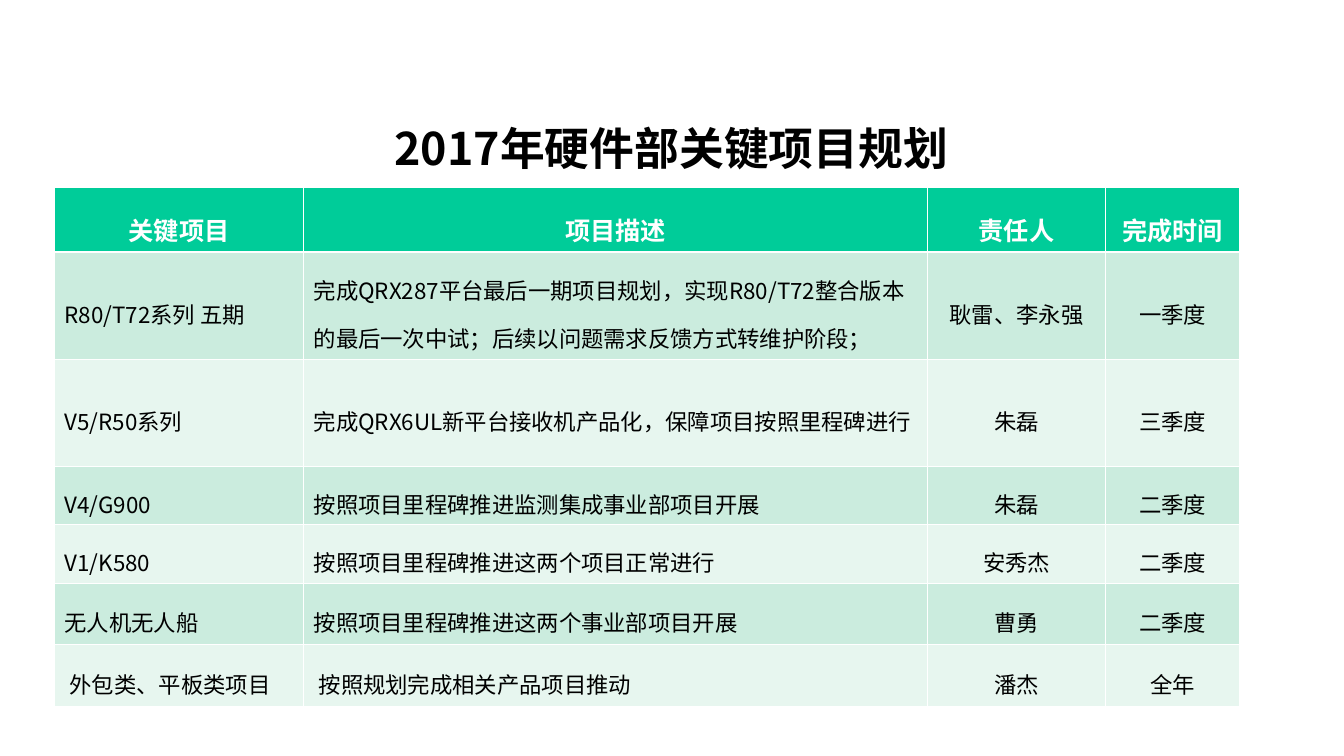
from lxml.etree import SubElement
from pptx import Presentation
from pptx.dml.color import RGBColor
from pptx.enum.text import MSO_ANCHOR, MSO_AUTO_SIZE, PP_ALIGN
from pptx.oxml.ns import qn
from pptx.util import Pt

FONT = "Noto Sans CJK SC"
COLOR = {"black": "000000", "white": "FFFFFF", "head": "00CC99",
         "odd": "CBECDE", "even": "E7F6EF"}
WIDTHS = [178, 446, 127, 96]
HEIGHTS = [39.6, 64.8, 43.2, 36, 41, 44, 44]
THIN, THICK = 0.45, 1.47
ROWS = [
    ("关键项目", "项目描述", "责任人", "完成时间"),
    ("R80/T72系列 五期",
     "完成QRX287平台最后一期项目规划，实现R80/T72整合版本的最后一次中试；"
     "后续以问题需求反馈方式转维护阶段；", "耿雷、李永强", "一季度"),
    ("V5/R50系列", "完成QRX6UL新平台接收机产品化，保障项目按照里程碑进行",
     "朱磊", "三季度"),
    ("V4/G900", "按照项目里程碑推进监测集成事业部项目开展", "朱磊", "二季度"),
    ("V1/K580", "按照项目里程碑推进这两个项目正常进行", "安秀杰", "二季度"),
    ("无人机无人船", "按照项目里程碑推进这两个事业部项目开展", "曹勇", "二季度"),
    ("外包类、平板类项目", "按照规划完成相关产品项目推动", "潘杰", "全年"),
]


def write(frame, text, size=16, color="black", bold=False,
          align=PP_ALIGN.CENTER, space=1.0):
    para = frame.paragraphs[0]
    para.alignment = align
    para.line_spacing = space
    run = para.add_run()
    run.text = text
    font = run.font
    font.size = Pt(size)
    font.bold = bold
    font.color.rgb = RGBColor.from_string(COLOR[color])
    font.name = FONT
    SubElement(font._element, qn("a:ea"), typeface=FONT)


def edge(cell, side, width):
    """Draw one white border; call before the cell is filled."""
    line = SubElement(cell._tc.get_or_add_tcPr(), qn(f"a:ln{side}"),
                      w=str(int(Pt(width))))
    fill = SubElement(line, qn("a:solidFill"))
    SubElement(fill, qn("a:srgbClr"), val=COLOR["white"])


def paint(cell, row):
    widths = {"L": THIN, "R": THIN,
              "T": THICK if row == 1 else THIN,
              "B": THICK if row == 0 else THIN}
    for side, width in widths.items():
        edge(cell, side, width)
    tone = "head" if row == 0 else "odd" if row % 2 else "even"
    cell.fill.solid()
    cell.fill.fore_color.rgb = RGBColor.from_string(COLOR[tone])


def add_title(slide, text):
    title = slide.shapes.title
    title.left, title.top = Pt(74), Pt(83)
    title.width, title.height = Pt(811.5), Pt(45)
    frame = title.text_frame
    frame.auto_size = MSO_AUTO_SIZE.NONE
    frame.vertical_anchor = MSO_ANCHOR.MIDDLE
    write(frame, text, size=32, bold=True)


def add_plan(slide):
    table = slide.shapes.add_table(
        len(ROWS), len(WIDTHS), Pt(39), Pt(134),
        Pt(sum(WIDTHS)), Pt(sum(HEIGHTS))).table
    for column, width in zip(table.columns, WIDTHS):
        column.width = Pt(width)
    for row, (texts, height) in enumerate(zip(ROWS, HEIGHTS)):
        table.rows[row].height = Pt(height)
        for col, text in enumerate(texts):
            cell = table.cell(row, col)
            paint(cell, row)
            cell.vertical_anchor = MSO_ANCHOR.MIDDLE
            if row == 0:
                style = {"size": 18, "color": "white", "bold": True}
            else:
                style = {"align": PP_ALIGN.LEFT if col < 2 else PP_ALIGN.CENTER}
            if row == len(ROWS) - 1 and col < 2:
                cell.margin_left = Pt(10.8)
            write(cell.text_frame, text, space=1.5, **style)


def main():
    deck = Presentation()
    deck.slide_width, deck.slide_height = Pt(960.5), Pt(540)
    slide = deck.slides.add_slide(deck.slide_layouts.get_by_name("Title Only"))
    add_title(slide, "2017年硬件部关键项目规划")
    add_plan(slide)
    deck.save("out.pptx")


if __name__ == "__main__":
    main()
